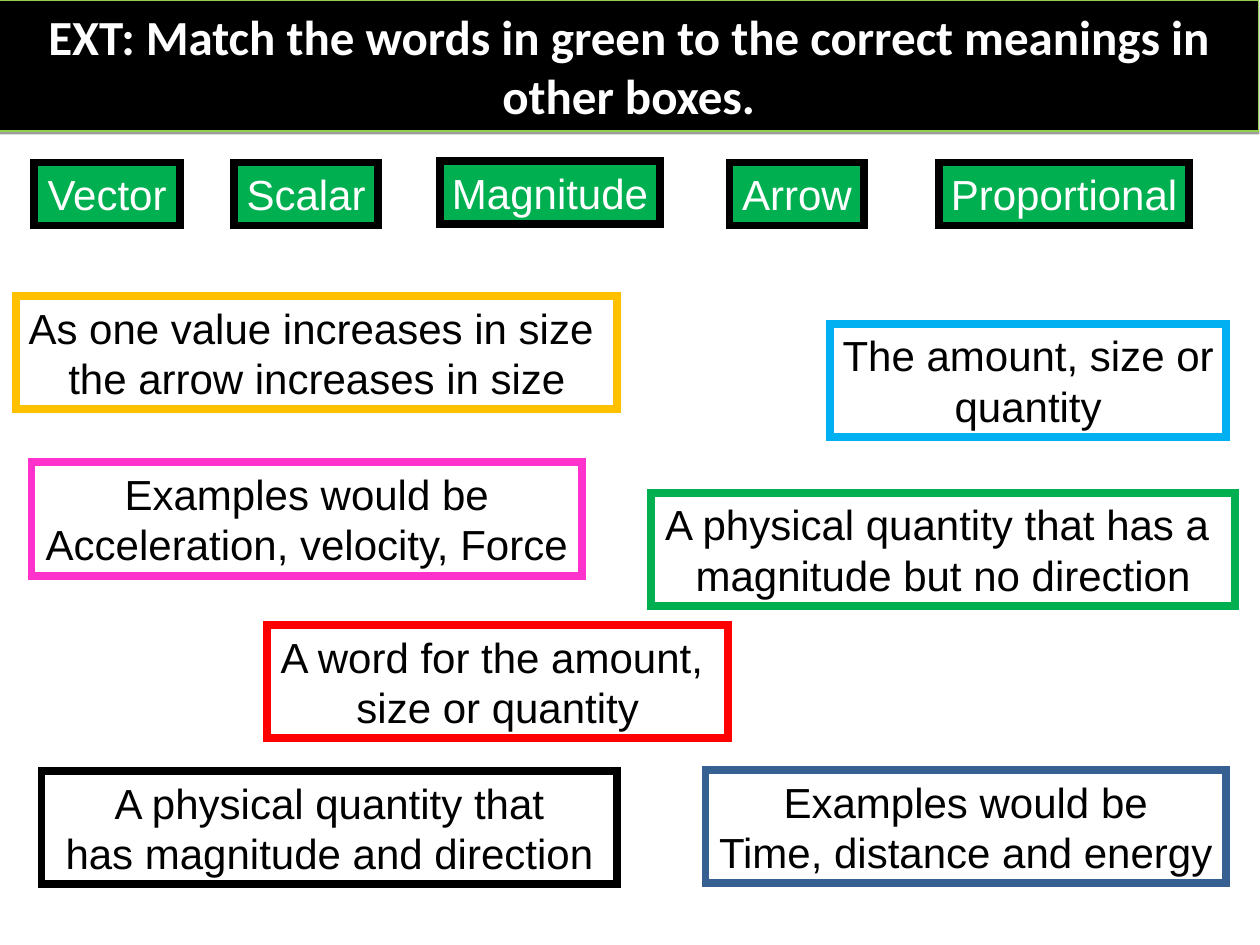
from lxml import etree
from pptx import Presentation
from pptx.dml.color import RGBColor
from pptx.enum.shapes import MSO_SHAPE
from pptx.enum.text import MSO_ANCHOR, MSO_AUTO_SIZE, PP_ALIGN
from pptx.oxml.ns import qn
from pptx.util import Inches, Pt

RECT = MSO_SHAPE.RECTANGLE
CENTER = PP_ALIGN.CENTER
TOP = MSO_ANCHOR.TOP
GROW = MSO_AUTO_SIZE.SHAPE_TO_FIT_TEXT
TITLE_ONLY = 5
COLUMNS, ROWS = 100, 75

HEADING = "EXT: Match the words in green to the correct meanings in other boxes."
# word, left column, top row, width in columns
WORDS = [
    ("Vector", 2.7, 12.9, 11.6),
    ("Scalar", 18.6, 12.9, 11.4),
    ("Magnitude", 34.9, 12.8, 17.5),
    ("Arrow", 57.9, 12.9, 10.7),
    ("Proportional", 74.5, 12.9, 19.9),
]
# lines, left column, top row, width in columns, border
MEANINGS = [
    (["As one value increases in size ", "the arrow increases in size"], 1.3, 23.5, 47.7, "FFC000"),
    (["The amount, size or", "quantity"], 65.9, 25.7, 31.4, "00B0F0"),
    (["Examples would be", "Acceleration, velocity, Force"], 2.5, 36.7, 43.7, "FF33CC"),
    (["A physical quantity that has a ", "magnitude but no direction"], 51.7, 39.1, 46.3, "00B050"),
    (["A word for the amount, ", "size or quantity"], 21.2, 49.6, 36.6, "FF0000"),
    (["A physical quantity that", " has magnitude and direction "], 3.3, 61.2, 45.7, "000000"),
    (["Examples would be", "Time, distance and energy"], 56, 61.1, 41.3, "376092"),
]


def rgb(value):
    return RGBColor.from_string(value)


def write(tf, lines, size=24, font="Arial", color="000000", bold=False,
          wrap=False, margin=0.1):
    tf.word_wrap = wrap
    tf.auto_size = GROW
    tf.vertical_anchor = TOP
    tf.margin_left = tf.margin_right = Inches(margin)
    for i, line in enumerate(lines):
        p = tf.add_paragraph() if i else tf.paragraphs[0]
        p.alignment = CENTER
        r = p.add_run()
        r.text = line
        r.font.size, r.font.name, r.font.bold = Pt(size), font, bold
        r.font.color.rgb = rgb(color)


def paint(sp, fill, border, weight):
    """Set a plain fill and a border with square corners."""
    sp.fill.solid()
    sp.fill.fore_color.rgb = rgb(fill)
    sp.line.color.rgb = rgb(border)
    sp.line.width = Pt(weight)
    etree.SubElement(sp._element.spPr.find(qn("a:ln")), qn("a:miter"), lim="800000")


def drop_shadow(sp, color, opacity, distance):
    """Add a sharp shadow straight below the shape."""
    effects = etree.SubElement(sp._element.spPr, qn("a:effectLst"))
    shadow = etree.SubElement(effects, qn("a:outerShdw"), blurRad="0",
                              dist=str(Pt(distance)), dir="5400000", rotWithShape="0")
    tint = etree.SubElement(shadow, qn("a:srgbClr"), val=color)
    etree.SubElement(tint, qn("a:alpha"), val=str(opacity * 1000))


class MatchingSlide:
    def __init__(self, prs):
        self.cell_w = prs.slide_width / COLUMNS
        self.cell_h = prs.slide_height / ROWS
        self.slide = prs.slides.add_slide(prs.slide_layouts[TITLE_ONLY])

    def area(self, col, row, cols, rows):
        return (round(col * self.cell_w), round(row * self.cell_h),
                round(cols * self.cell_w), round(rows * self.cell_h))

    def title(self, text):
        sp = self.slide.shapes.title
        sp.left, sp.top, sp.width, sp.height = self.area(-0.1, 0, COLUMNS, 10.4)
        paint(sp, "000000", "92D050", 0.75)
        drop_shadow(sp, "000000", 38, 1.6)
        write(sp.text_frame, [text], size=28, font="Calibri", color="FFFFFF",
              bold=True, wrap=True)

    def box(self, lines, col, row, cols, rows, fill, border, color):
        sp = self.slide.shapes.add_shape(RECT, *self.area(col, row, cols, rows))
        sp.shadow.inherit = False
        paint(sp, fill, border, 4.5)
        write(sp.text_frame, lines, color=color, margin=0.04)

    def word(self, text, col, row, cols):
        self.box([text], col, row, cols, 5, "00B050", "000000", "FFFFFF")

    def meaning(self, lines, col, row, cols, border):
        self.box(lines, col, row, cols, 9, "FFFFFF", border, "000000")


def main():
    prs = Presentation()
    prs.slide_width, prs.slide_height = Inches(10), Inches(7.5)
    s = MatchingSlide(prs)
    s.title(HEADING)
    for word in WORDS:
        s.word(*word)
    for meaning in MEANINGS:
        s.meaning(*meaning)
    prs.save("out.pptx")


if __name__ == "__main__":
    main()
